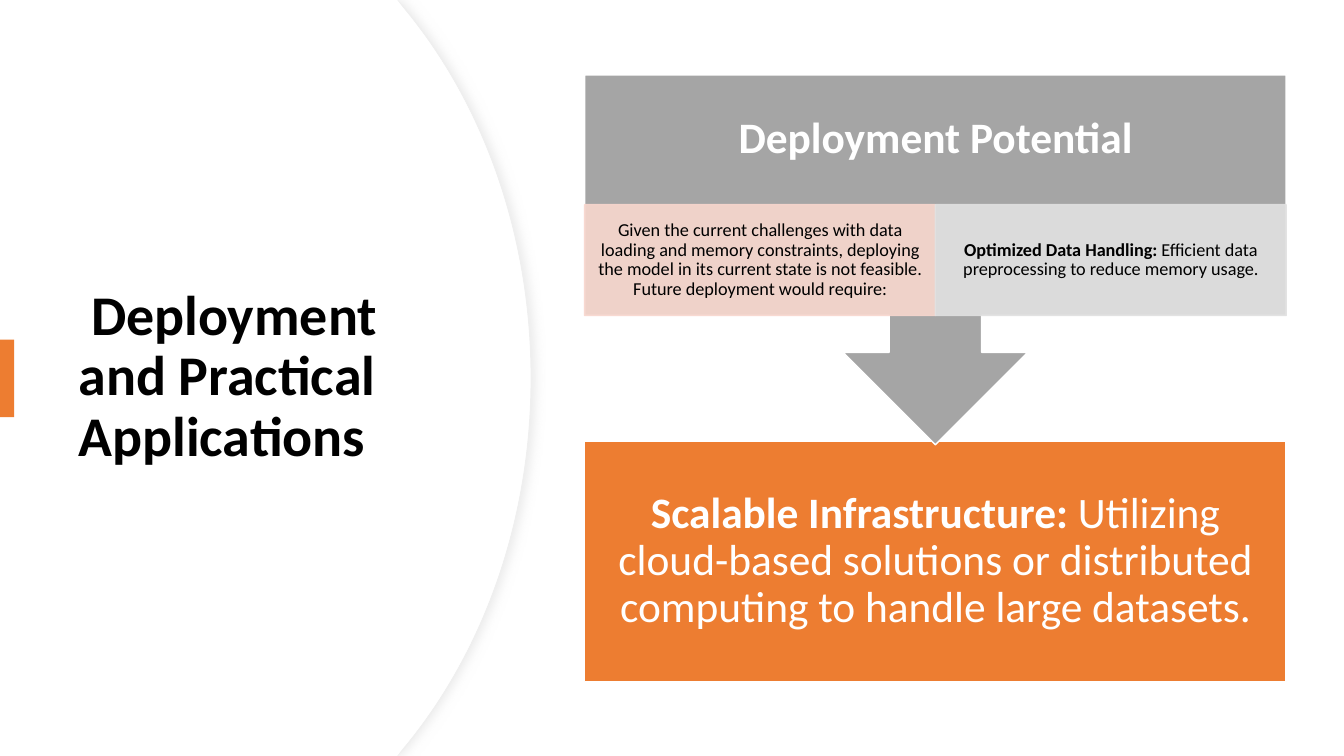
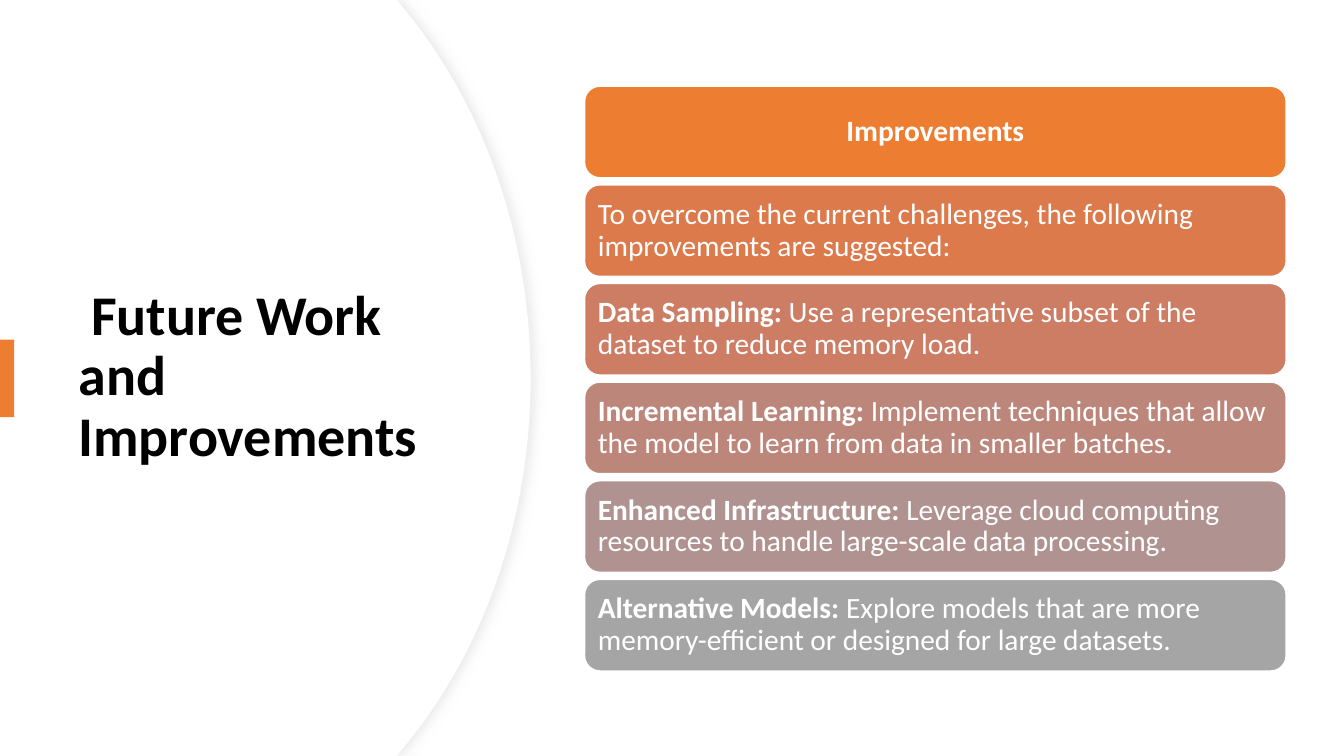
from dataclasses import dataclass

import lxml.etree
import pptx
import pptx.dml.color
import pptx.enum.shapes
import pptx.enum.text
import pptx.oxml
import pptx.oxml.ns
import pptx.presentation
import pptx.shapes.autoshape
import pptx.shapes.base
import pptx.slide
import pptx.util
from pptx.dml.color import RGBColor

Pt = pptx.util.Pt
qn = pptx.oxml.ns.qn
SHAPE = pptx.enum.shapes.MSO_SHAPE
ALIGN = pptx.enum.text.PP_ALIGN
MIDDLE = pptx.enum.text.MSO_ANCHOR.MIDDLE

# Shared look
FONT = "Calibri"
WHITE = RGBColor(0xFF, 0xFF, 0xFF)
BLACK = RGBColor(0x00, 0x00, 0x00)
ORANGE = RGBColor(0xED, 0x7D, 0x31)
GRAY = RGBColor(0xA5, 0xA5, 0xA5)
PALE_ROSE = RGBColor(0xF8, 0xD7, 0xCE)
PALE_GRAY = RGBColor(0xE1, 0xE1, 0xE1)
PANEL_EDGE = RGBColor(0xEF, 0xEF, 0xEF)
EMBER = RGBColor(0xDC, 0x7A, 0x4B)
CORAL = RGBColor(0xCC, 0x7D, 0x64)
CLAY = RGBColor(0xBD, 0x86, 0x7B)
MAUVE = RGBColor(0xB0, 0x93, 0x91)

SLIDE_WIDTH, SLIDE_HEIGHT = 960, 540
CONTENT_LEFT, CONTENT_WIDTH = 417.6, 501.1
PANEL_SHADOW = (
    '<a:effectLst xmlns:a="http://schemas.openxmlformats.org/drawingml/2006/main">'
    f'<a:outerShdw blurRad="{Pt(7)}" dist="{Pt(3)}" dir="0" algn="l" rotWithShape="0">'
    '<a:srgbClr val="D9D9D9"><a:alpha val="50000"/></a:srgbClr>'
    "</a:outerShdw></a:effectLst>"
)


@dataclass(frozen=True)
class Box:
    left: float
    top: float
    width: float
    height: float

    def lengths(self) -> tuple[int, int, int, int]:
        return Pt(self.left), Pt(self.top), Pt(self.width), Pt(self.height)


@dataclass(frozen=True)
class Wording:
    lead: str  # bold part
    rest: str = ""


@dataclass(frozen=True)
class TextStyle:
    size: float
    color: RGBColor
    align: ALIGN
    inset_x: float
    inset_y: float


@dataclass(frozen=True)
class Item:
    wording: Wording
    fill: RGBColor
    align: ALIGN = ALIGN.LEFT


TITLE_STYLE = TextStyle(40, BLACK, ALIGN.LEFT, 7.2, 3.6)
HEADLINE_STYLE = TextStyle(31, WHITE, ALIGN.CENTER, 17.3, 17.3)
DETAIL_STYLE = TextStyle(13, BLACK, ALIGN.CENTER, 7.2, 1.4)

# Slide 1 content
DEPLOYMENT_TITLE = " Deployment and Practical Applications"
POTENTIAL = Wording("Deployment Potential")
INFRASTRUCTURE = Wording(
    "Scalable Infrastructure:",
    " Utilizing cloud-based solutions or distributed computing to handle large datasets.",
)
DETAILS = [
    Item(Wording("", "Given the current challenges with data loading and memory constraints, "
                 "deploying the model in its current state is not feasible. "
                 "Future deployment would require:"), PALE_ROSE),
    Item(Wording("Optimized Data Handling:",
                 " Efficient data preprocessing to reduce memory usage."), PALE_GRAY),
]

# Slide 2 content
FUTURE_TITLE = " Future Work and Improvements"
IMPROVEMENTS = [
    Item(Wording("Improvements"), ORANGE, ALIGN.CENTER),
    Item(Wording("", "To overcome the current challenges, "
                 "the following improvements are suggested:"), EMBER),
    Item(Wording("Data Sampling:",
                 " Use a representative subset of the dataset to reduce memory load."), CORAL),
    Item(Wording("Incremental Learning:",
                 " Implement techniques that allow the model to learn from data "
                 "in smaller batches."), CLAY),
    Item(Wording("Enhanced Infrastructure:",
                 " Leverage cloud computing resources to handle large-scale "
                 "data processing."), MAUVE),
    Item(Wording("Alternative Models:",
                 " Explore models that are more memory-efficient or designed "
                 "for large datasets."), GRAY),
]


def write_text(holder: pptx.shapes.base.BaseShape, wording: Wording, style: TextStyle) -> None:
    frame = holder.text_frame
    frame.word_wrap = True
    frame.vertical_anchor = MIDDLE
    frame.margin_left = frame.margin_right = Pt(style.inset_x)
    frame.margin_top = frame.margin_bottom = Pt(style.inset_y)
    paragraph = frame.paragraphs[0]
    paragraph.alignment = style.align
    paragraph.line_spacing = 0.9
    paragraph.font.name = FONT
    paragraph.font.size = Pt(style.size)
    paragraph.font.color.rgb = style.color
    for words, bold in ((wording.lead, True), (wording.rest, False)):
        if words:
            run = paragraph.add_run()
            run.text = words
            run.font.bold = bold


def add_label(slide: pptx.slide.Slide, box: Box, wording: Wording, style: TextStyle) -> None:
    write_text(slide.shapes.add_textbox(*box.lengths()), wording, style)


def add_block(slide: pptx.slide.Slide, kind: SHAPE, box: Box, fill: RGBColor,
              line: RGBColor | None = WHITE) -> pptx.shapes.autoshape.Shape:
    block = slide.shapes.add_shape(kind, *box.lengths())
    block.shadow.inherit = False
    block.fill.solid()
    block.fill.fore_color.rgb = fill
    if line is None:
        block.line.fill.background()
    else:
        block.line.color.rgb = line
        block.line.width = Pt(1)
    return block


def set_opacity(block: pptx.shapes.autoshape.Shape, percent: int) -> None:
    for color in block.element.spPr.iter(qn("a:srgbClr")):
        lxml.etree.SubElement(color, qn("a:alpha")).set("val", str(percent * 1000))


def panel_outline(bulge: float) -> list[tuple[int, int]]:
    """Upper half of the outline, mirrored about the slide's middle."""
    upper = [(283.7, 0), (bulge - 90.7, 5.8), (bulge - 34.5, 73.4), (bulge, 167)]
    lower = [(x, SLIDE_HEIGHT - y) for x, y in reversed(upper)]
    points = upper + [(bulge, SLIDE_HEIGHT / 2)] + lower + [(0, SLIDE_HEIGHT)]
    return [(Pt(x), Pt(y)) for x, y in points]


def round_panel(panel: pptx.shapes.autoshape.Shape) -> None:
    """Turn the two runs of three segments along the bulge into Bézier curves."""
    segments = list(panel.element.spPr.iter(qn("a:lnTo")))
    for first in (2, 5):
        curve = lxml.etree.Element(qn("a:cubicBezTo"))
        segments[first].addprevious(curve)
        for segment in segments[first:first + 3]:
            curve.append(segment[0])
            segment.getparent().remove(segment)


def add_panel(slide: pptx.slide.Slide, bulge: float, edged: bool) -> None:
    builder = slide.shapes.build_freeform(0, 0)
    builder.add_line_segments(panel_outline(bulge), close=True)
    panel = builder.convert_to_shape()
    round_panel(panel)
    panel.fill.solid()
    panel.fill.fore_color.rgb = WHITE
    if edged:
        panel.line.color.rgb = PANEL_EDGE
        panel.line.width = Pt(0.75)
        panel.element.spPr.append(pptx.oxml.parse_xml(PANEL_SHADOW))
    else:
        panel.line.fill.background()
        panel.shadow.inherit = False


def add_titled_slide(deck: pptx.presentation.Presentation, title: str) -> pptx.slide.Slide:
    slide = deck.slides.add_slide(deck.slide_layouts[6])
    add_panel(slide, 379.4, edged=True)
    add_panel(slide, 378.7, edged=False)
    add_label(slide, Box(49, 91.4, 283.7, 356.4), Wording(title), TITLE_STYLE)
    add_block(slide, SHAPE.RECTANGLE, Box(0, 242.6, 10.1, 55.4), ORANGE, line=None)
    return slide


def build_deployment(deck: pptx.presentation.Presentation) -> None:
    slide = add_titled_slide(deck, DEPLOYMENT_TITLE)
    # Result box
    result = add_block(slide, SHAPE.RECTANGLE,
                       Box(CONTENT_LEFT, 315.1, CONTENT_WIDTH, 171.8), ORANGE)
    write_text(result, INFRASTRUCTURE, HEADLINE_STYLE)
    # Callout pointing down to the result
    callout = add_block(slide, SHAPE.UP_ARROW_CALLOUT,
                        Box(CONTENT_LEFT, 53.5, CONTENT_WIDTH, 264.2), GRAY)
    callout.rotation = 180
    for index, share in enumerate((0.25, 0.25, 0.25, 0.65)):
        callout.adjustments[index] = share
    add_label(slide, Box(CONTENT_LEFT, 53.5, CONTENT_WIDTH, 92.7), POTENTIAL, HEADLINE_STYLE)
    # Detail cells
    cell_width = CONTENT_WIDTH / len(DETAILS)
    for column, item in enumerate(DETAILS):
        box = Box(CONTENT_LEFT + column * cell_width, 146.2, cell_width, 79.2)
        cell = add_block(slide, SHAPE.RECTANGLE, box, item.fill, item.fill)
        set_opacity(cell, 90)
        write_text(cell, item.wording, DETAIL_STYLE)


def build_future_work(deck: pptx.presentation.Presentation) -> None:
    slide = add_titled_slide(deck, FUTURE_TITLE)
    row_height, row_pitch = 65.4, 70.45
    for row, item in enumerate(IMPROVEMENTS):
        box = Box(CONTENT_LEFT, 61.6 + row * row_pitch, CONTENT_WIDTH, row_height)
        bar = add_block(slide, SHAPE.ROUNDED_RECTANGLE, box, item.fill)
        write_text(bar, item.wording, TextStyle(21, WHITE, item.align, 6.3, 6.3))


def main() -> None:
    deck = pptx.Presentation()
    deck.slide_width, deck.slide_height = Pt(SLIDE_WIDTH), Pt(SLIDE_HEIGHT)
    build_deployment(deck)
    build_future_work(deck)
    deck.save("out.pptx")


if __name__ == "__main__":
    main()
